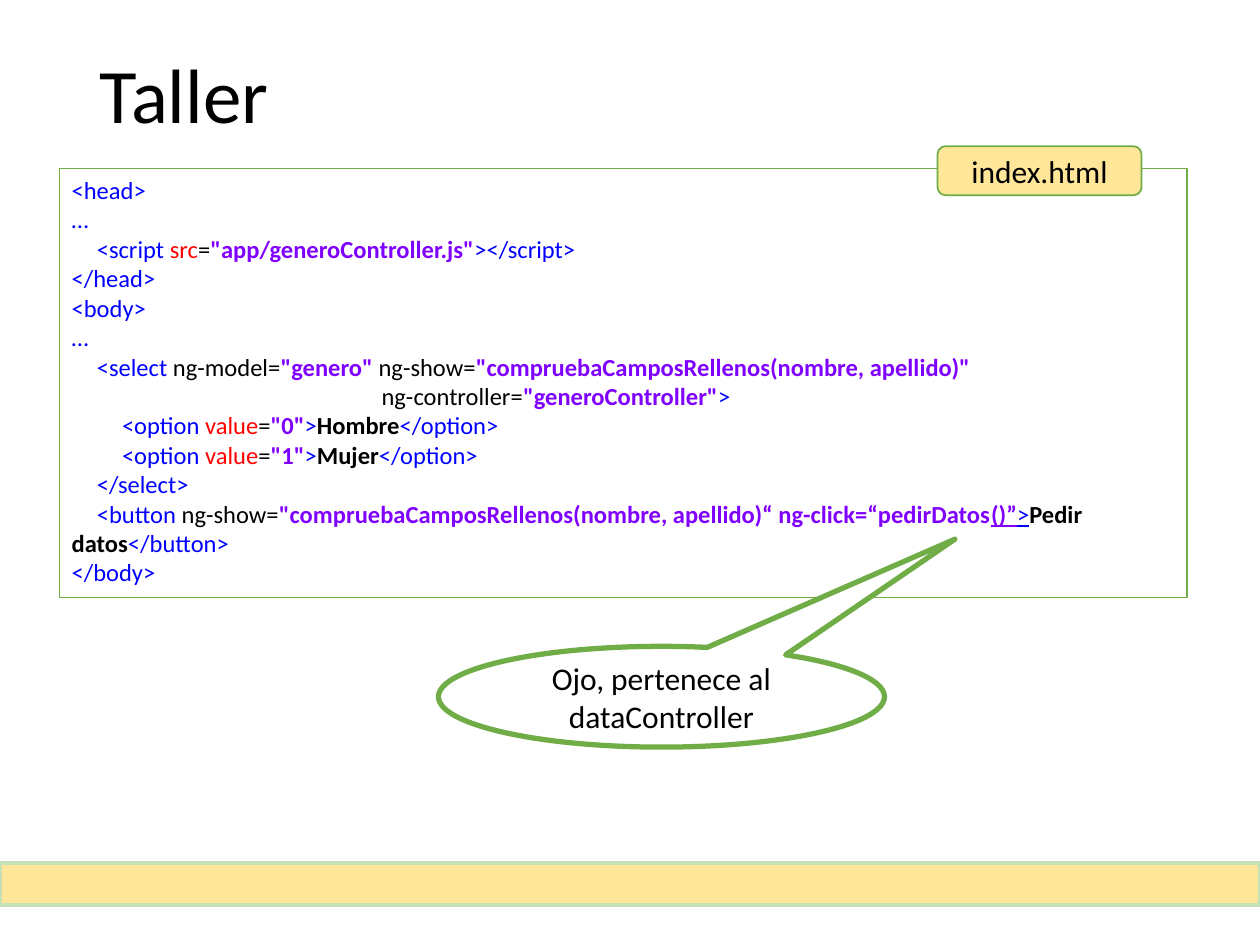
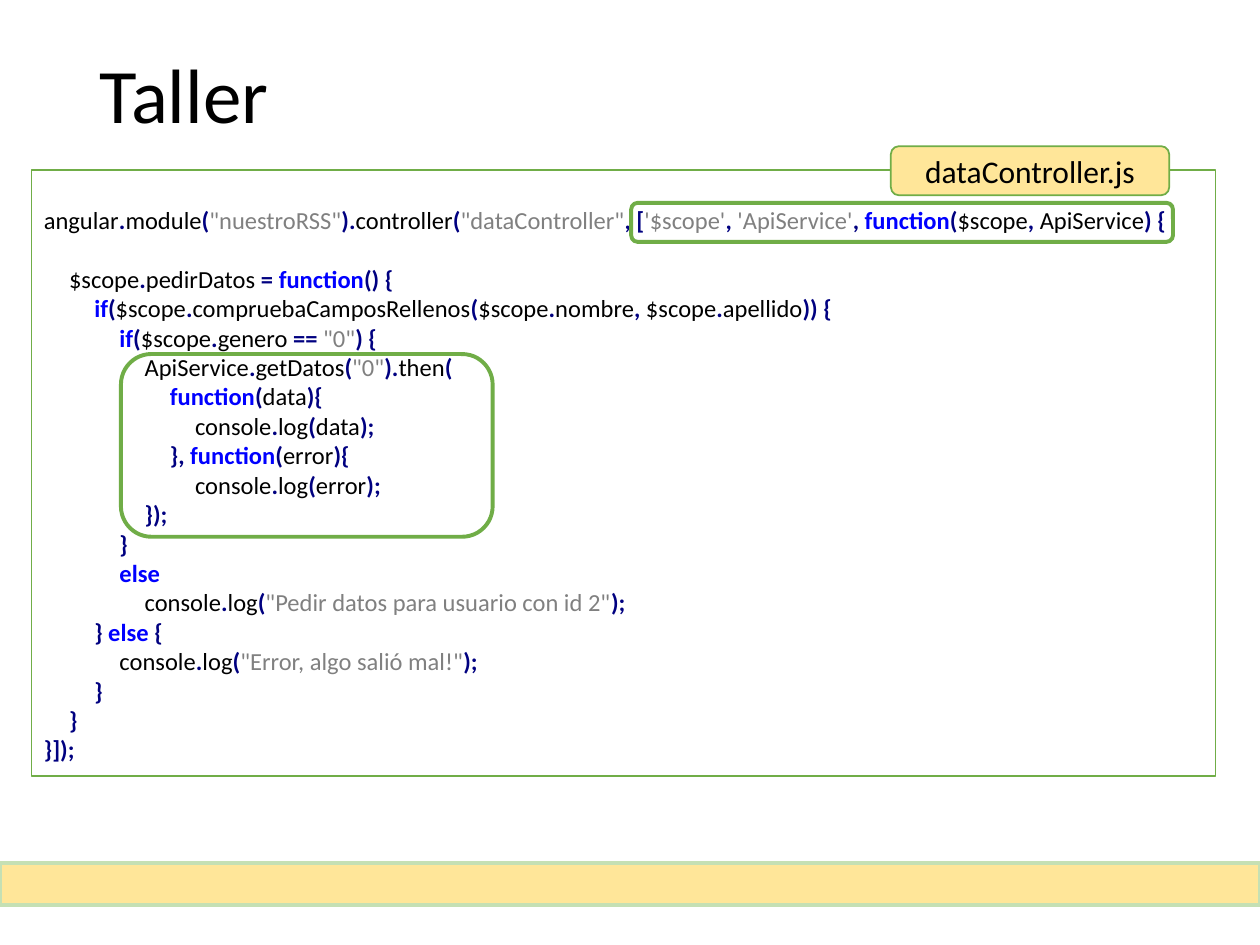
from pptx import Presentation
from pptx.dml.color import RGBColor
from pptx.enum.shapes import MSO_SHAPE
from pptx.enum.text import MSO_ANCHOR, PP_ALIGN
from pptx.util import Inches, Pt

RECTANGLE = MSO_SHAPE.RECTANGLE
ROUNDED = MSO_SHAPE.ROUNDED_RECTANGLE
CALLOUT = MSO_SHAPE.OVAL_CALLOUT
LEFT, CENTER = PP_ALIGN.LEFT, PP_ALIGN.CENTER
TOP, MIDDLE = MSO_ANCHOR.TOP, MSO_ANCHOR.MIDDLE

FONT = "Calibri"
BLACK, WHITE = "000000", "FFFFFF"
GREEN, PALE_GREEN, SAND = "70AD47", "C5E0B4", "FFE699"
TAB = 0.2  # inches per level of code indentation
LINE_HEIGHT = 0.23  # inches per line of code

# Code styles: colour, bold, underlined
STYLES = {
    "text": (BLACK, False, False),
    "strong": (BLACK, True, False),
    "tag": ("0000FF", False, False),
    "tagline": ("0000FF", False, True),
    "attr": ("FF0000", False, False),
    "value": ("8000FF", True, False),
    "link": ("8000FF", True, True),
    "op": ("000080", True, False),
    "key": ("0000FF", True, False),
    "str": ("808080", False, False),
}

# Each line of code: indentation level, then "style:text" parts divided by |
HTML_CODE = [
    (0, "tag:<head>"),
    (0, "tag:…"),
    (1, 'tag:<script|attr: src|text:=|value:"app/generoController.js"|tag:></script>'),
    (0, "tag:</head>"),
    (0, "tag:<body>"),
    (0, "tag:…"),
    (1, 'tag:<select|text: ng-model=|value:"genero"|text: ng-show='
        '|value:"compruebaCamposRellenos(nombre, apellido)"'),
    (12.3, 'text:ng-controller=|value:"generoController"|tag:>'),
    (2, 'tag:<option|attr: value|text:=|value:"0"|tag:>|strong:Hombre|tag:</option>'),
    (2, 'tag:<option|attr: value|text:=|value:"1"|tag:>|strong:Mujer|tag:</option>'),
    (1, "tag:</select>"),
    (1, 'tag:<button|text: ng-show=|value:"compruebaCamposRellenos(nombre, apellido)“'
        " ng-click=“pedirDatos|link:()”|tagline:>|strong:Pedir datos|tag:</button>"),
    (0, "tag:</body>"),
]
JS_CODE = [
    (0, 'text:angular|op:.|text:module|op:(|str:"nuestroRSS"|op:).|text:controller|op:('
        '|str:"dataController"|op:, [|str:\'$scope\'|op:, |str:\'ApiService\'|op:, '
        "|key:function|op:(|text:$scope|op:,|text: ApiService|op:) {"),
    (1, "text:$scope|op:.|text:pedirDatos |op:= |key:function|op:() {"),
    (2, "key:if|op:(|text:$scope|op:.|text:compruebaCamposRellenos|op:(|text:$scope|op:."
        "|text:nombre|op:,|text: $scope|op:.|text:apellido|op:)) {"),
    (3, 'key:if|op:(|text:$scope|op:.|text:genero |op:== |str:"0"|op:) {'),
    (4, 'text:ApiService|op:.|text:getDatos|op:(|str:"0"|op:).|text:then|op:('),
    (5, "key:function|op:(|text:data|op:){"),
    (6, "text:console|op:.|text:log|op:(|text:data|op:);"),
    (5, "op:}, |key:function|op:(|text:error|op:){"),
    (6, "text:console|op:.|text:log|op:(|text:error|op:);"),
    (4, "op:});"),
    (3, "op:}"),
    (3, "key:else"),
    (4, 'text:console|op:.|text:log|op:(|str:"Pedir datos para usuario con id 2"|op:);'),
    (2, "op:} |key:else|op: {"),
    (3, 'text:console|op:.|text:log|op:(|str:"Error, algo salió mal!"|op:);'),
    (2, "op:}"),
    (1, "op:}"),
    (0, "op:}]);"),
]

# File name, file label box, code box, blank lines at the top and after line 1, code
SLIDES = [
    ("index.html", (7.44, 1.16, 1.62, 0.39), (0.47, 1.34, 8.95, 3.4), 0, HTML_CODE),
    ("dataController.js", (7.07, 1.16, 2.21, 0.39), (0.25, 1.35, 9.4, 4.81), 1, JS_CODE),
]


def style_run(run, size, color=BLACK, bold=False, underline=False):
    run.font.name = FONT
    run.font.size = Pt(size)
    run.font.color.rgb = RGBColor.from_string(color)
    run.font.bold = bold
    run.font.underline = underline


def add_box(slide, kind, box, fill, line, width, text=""):
    shape = slide.shapes.add_shape(kind, *[Inches(length) for length in box])
    shape.shadow.inherit = False
    if fill:
        shape.fill.solid()
        shape.fill.fore_color.rgb = RGBColor.from_string(fill)
    else:
        shape.fill.background()
    shape.line.color.rgb = RGBColor.from_string(line)
    shape.line.width = Pt(width)
    if text:
        shape.text_frame.text = text
        shape.text_frame.vertical_anchor = MIDDLE
        paragraph = shape.text_frame.paragraphs[0]
        paragraph.alignment = CENTER
        style_run(paragraph.runs[0], 18)
    return shape


presentation = Presentation()
presentation.slide_width = Inches(10)
presentation.slide_height = Inches(7.5)
title_only = presentation.slide_layouts[5]

for file_name, label_box, code_box, blank_lines, code in SLIDES:
    slide = presentation.slides.add_slide(title_only)

    # Title
    title = slide.shapes.title
    title.left, title.top = Inches(0.69), Inches(0.4)
    title.width, title.height = Inches(8.62), Inches(0.76)
    title.text_frame.text = "Taller"
    title.text_frame.vertical_anchor = MIDDLE
    heading = title.text_frame.paragraphs[0]
    heading.alignment = LEFT
    heading.line_spacing = 0.9
    style_run(heading.runs[0], 44)

    # Bottom band
    add_box(slide, RECTANGLE, (0, 6.85, 10, 0.33), SAND, PALE_GREEN, 2.25)

    # Code listing
    listing = add_box(slide, RECTANGLE, code_box, WHITE, GREEN, 0.75).text_frame
    listing.word_wrap = True
    listing.vertical_anchor = TOP
    listing.margin_top = Inches(0.05 + blank_lines * LINE_HEIGHT)
    for number, (level, parts) in enumerate(code):
        paragraph = listing.add_paragraph() if number else listing.paragraphs[0]
        paragraph.alignment = LEFT
        properties = paragraph._p.get_or_add_pPr()
        properties.set("marL", "0")
        properties.set("indent", str(Inches(level * TAB)))
        for part in parts.split("|"):
            style, _, text = part.partition(":")
            run = paragraph.add_run()
            run.text = text
            style_run(run, 14, *STYLES[style])
    listing.paragraphs[0].space_after = Inches(blank_lines * LINE_HEIGHT)

    # File label
    add_box(slide, ROUNDED, label_box, SAND, GREEN, 1, file_name)

html_slide, js_slide = presentation.slides

# Remark on the button's click handler
remark = add_box(html_slide, CALLOUT, (3.48, 5.13, 3.54, 0.8), WHITE, GREEN, 3,
                 "Ojo, pertenece al dataController")
remark.adjustments[0] = 0.658
remark.adjustments[1] = -1.563

# Frames around the service call and the injected dependencies
for frame_box in [(0.96, 2.81, 2.95, 1.45), (5.01, 1.61, 4.3, 0.31)]:
    add_box(js_slide, ROUNDED, frame_box, None, GREEN, 2.25)

presentation.save("out.pptx")
